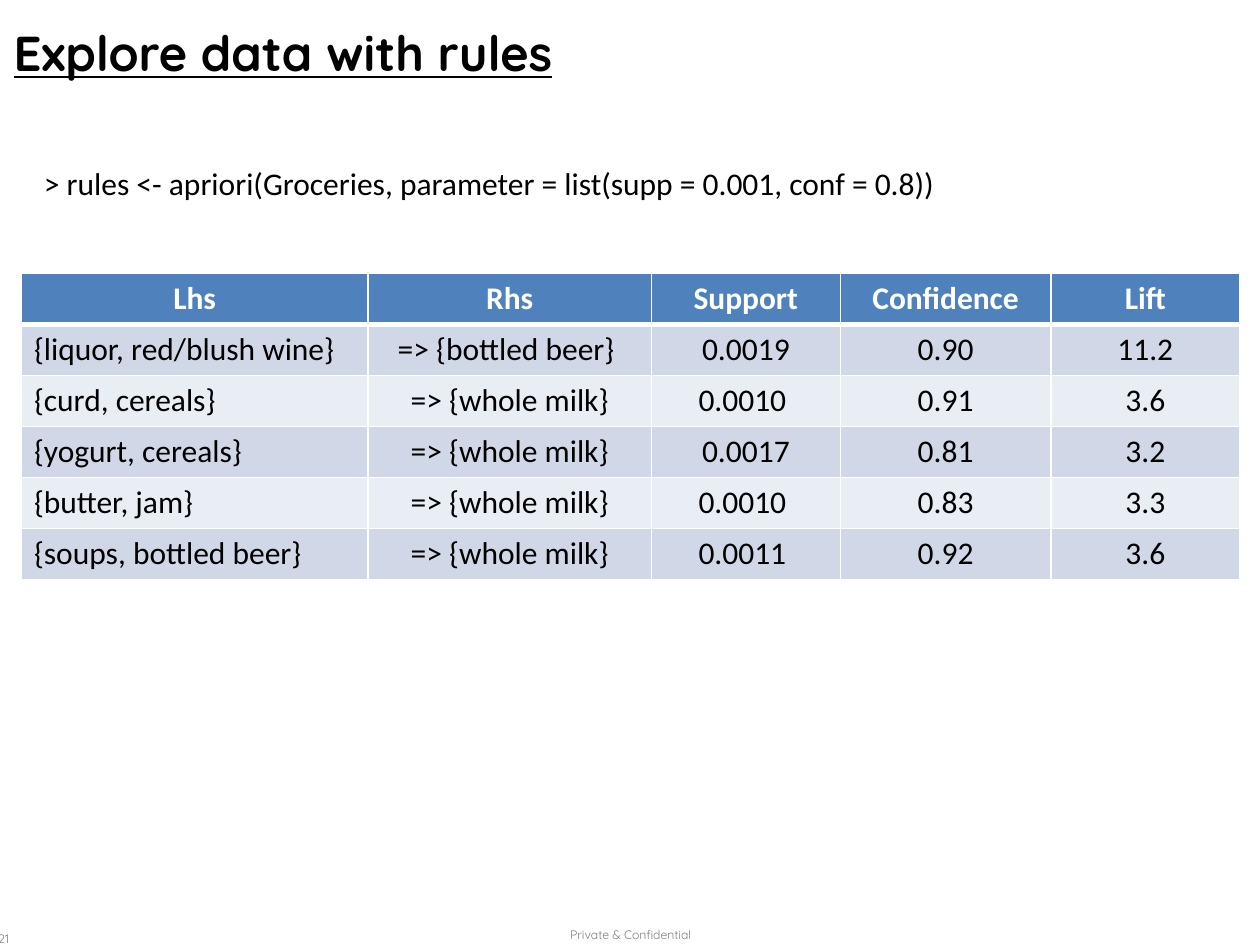
from lxml.etree import SubElement
from pptx import Presentation
from pptx.dml.color import RGBColor
from pptx.enum.text import MSO_ANCHOR as Anchor, PP_ALIGN as Align
from pptx.oxml.ns import qn
from pptx.util import Inches, Pt


def color(value):
    return RGBColor.from_string(value)


def write_text(frame, text, size=18, font="Calibri", fill="000000", bold=False,
               underline=False, align=Align.LEFT, anchor=Anchor.TOP, spacing=1.0):
    frame.word_wrap = True
    frame.vertical_anchor = anchor
    paragraph = frame.paragraphs[0]
    paragraph.alignment = align
    paragraph.line_spacing = spacing
    run = paragraph.add_run()
    run.text = text
    run.font.size = Pt(size)
    run.font.name = font
    run.font.bold = bold
    run.font.underline = underline
    run.font.color.rgb = color(fill)


presentation = Presentation()
presentation.slide_width = Inches(10)
presentation.slide_height = Inches(7.5)
slide = presentation.slides.add_slide(presentation.slide_layouts[6])

footer_style = dict(size=7, font="Quicksand", fill="808080")
text_boxes = [
    ((3.81, 7.32, 2.39, 0.21), "Private & Confidential",
     dict(footer_style, align=Align.CENTER, spacing=0.9)),
    ((-0.41, 7.25, 0.58, 0.4), "21",
     dict(footer_style, align=Align.RIGHT, anchor=Anchor.MIDDLE)),
    ((0.01, 0, 9.99, 0.83), "Explore data with rules",
     dict(size=28, font="Quicksand", bold=True, underline=True, anchor=Anchor.MIDDLE)),
    ((0.25, 1.25, 8.25, 0.71),
     "> rules <- apriori(Groceries, parameter = list(supp = 0.001, conf = 0.8))", {}),
]
for box, text, style in text_boxes:
    shape = slide.shapes.add_textbox(*[Inches(length) for length in box])
    write_text(shape.text_frame, text, **style)

rules = [
    ("Lhs", "Rhs", "Support", "Confidence", "Lift"),
    ("{liquor, red/blush wine}", "=> {bottled beer} ", "0.0019", "0.90", "11.2"),
    ("{curd, cereals}", "=> {whole milk}", "0.0010 ", "0.91", "3.6"),
    ("{yogurt, cereals}", "=> {whole milk}", "0.0017", "0.81", "3.2"),
    ("{butter, jam}", "=> {whole milk}", "0.0010 ", "0.83", "3.3"),
    ("{soups, bottled beer}", "=> {whole milk}", "0.0011 ", "0.92", "3.6"),
]
column_widths = [2.75, 2.25, 1.5, 1.67, 1.5]
table = slide.shapes.add_table(
    len(rules), len(column_widths), Inches(0.17), Inches(2.17),
    Inches(sum(column_widths)), Inches(2.43)).table
for column, width in zip(table.columns, column_widths):
    column.width = Inches(width)

for row_index, rule in enumerate(rules):
    is_header = row_index == 0
    if is_header:
        row_fill = "4F81BD"
    else:
        row_fill = "D0D8E8" if row_index % 2 else "E9EDF4"
    for column_index, text in enumerate(rule):
        cell = table.cell(row_index, column_index)
        centered = is_header or column_index > 0
        write_text(cell.text_frame, text, bold=is_header,
                   fill="FFFFFF" if is_header else "000000",
                   align=Align.CENTER if centered else Align.LEFT)
        properties = cell._tc.get_or_add_tcPr()
        for side in ("L", "R", "T", "B"):
            under_header = (row_index, side) in ((0, "B"), (1, "T"))
            border = SubElement(properties, qn(f"a:ln{side}"),
                                w=str(Pt(3 if under_header else 1)))
            SubElement(SubElement(border, qn("a:solidFill")), qn("a:srgbClr"), val="FFFFFF")
        cell.fill.solid()
        cell.fill.fore_color.rgb = color(row_fill)

presentation.save("out.pptx")
